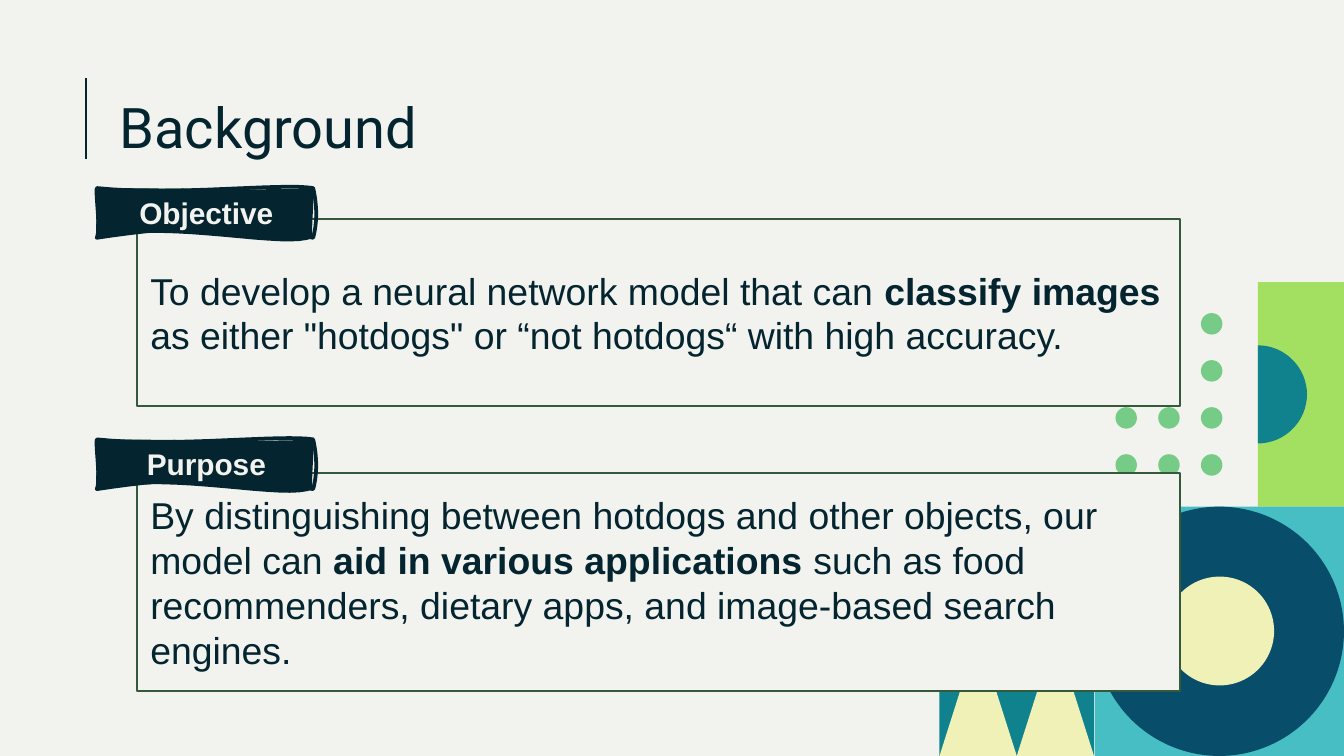
"""Build the Background slide with its two labelled statements and geometric corner art."""

from dataclasses import dataclass

from lxml.etree import SubElement
from pptx import Presentation
from pptx.dml.color import RGBColor
from pptx.enum.shapes import MSO_CONNECTOR, MSO_SHAPE
from pptx.enum.text import MSO_ANCHOR, MSO_AUTO_SIZE, PP_ALIGN
from pptx.oxml.ns import qn
from pptx.util import Inches, Pt

GRID = 0.1
CURVE_STEPS = 16
COLORS = {
    "paper": "F2F3EE", "ink": "042530", "border": "34593B", "lime": "A3DF61",
    "teal": "10828D", "cream": "F0F1B7", "aqua": "47BEC4", "navy": "084D6A",
    "mint": "76CC86",
}

Point = tuple[float, float]
Curve = tuple[Point, Point, Point]


@dataclass(frozen=True)
class Block:
    kind: MSO_SHAPE
    column: float
    row: float
    columns: float
    rows: float
    color: str


@dataclass(frozen=True)
class Statement:
    label: str
    label_row: float
    row: float
    rows: float
    pieces: tuple[tuple[str, bool], ...]


BLOCKS = [
    Block(MSO_SHAPE.RECTANGLE, 93.6, 21, 6.4, 16.7, "lime"),
    Block(MSO_SHAPE.RECTANGLE, 69.9, 47.2, 11.5, 9.05, "teal"),
    *(Block(MSO_SHAPE.ISOSCELES_TRIANGLE, 69.9 + 5.75 * i, 47.2, 5.75, 9.05, "cream")
      for i in range(2)),
    Block(MSO_SHAPE.RECTANGLE, 81.45, 37.7, 18.55, 18.55, "aqua"),
    Block(MSO_SHAPE.OVAL, 81.45, 37.7, 18.55, 18.55, "navy"),
    Block(MSO_SHAPE.OVAL, 86.7, 42.9, 8.1, 8.1, "cream"),
    *(Block(MSO_SHAPE.OVAL, 83 + 3.18 * i, 23.3 + 3.5 * j, 1.6, 1.6, "mint")
      for j in range(4) for i in range(3) if j > 1 or i == 2),
]

HALF_DISC: list[Curve] = [
    ((2, 0), (3.65, 1.65), (3.65, 3.65)),
    ((3.65, 5.65), (2, 7.3), (0, 7.3)),
]
BANNER_FILL: list[Curve] = [
    ((5.3, 0), (13.6, 0.2), (16.1, 0)),
    ((16.2, 1.3), (15.9, 3.2), (16.1, 3.7)),
    ((14.1, 4.7), (5.8, 2.5), (0, 3.7)),
    ((-0.2, 2.7), (0.3, 0.9), (0, 0)),
]
BANNER_EDGE: list[Curve] = [
    ((5.7, 0.6), (13.7, -0.4), (16.1, 0)),
    ((16.4, 1.3), (16.4, 2.6), (16.1, 3.7)),
    ((10.8, 2.7), (6.6, 2.7), (0, 3.7)),
    ((0.3, 3), (-0.1, 0.6), (0, 0)),
]

STATEMENTS = [
    Statement("Objective", 14, 16.3, 13.9, (
        ("To develop a neural network model that can ", False),
        ("classify images ", True),
        ("as either \"hotdogs\" or “not hotdogs“ with high accuracy.", False),
    )),
    Statement("Purpose", 32.7, 35.2, 16.2, (
        ("By distinguishing between hotdogs and other objects, our model can ", False),
        ("aid in various applications ", True),
        ("such as food recommenders, dietary apps, and image-based search engines.", False),
    )),
]


def cells(count: float) -> int:
    """Return the length of a number of grid cells."""
    return Inches(count * GRID)


def color(name: str) -> RGBColor:
    """Return a named colour."""
    return RGBColor.from_string(COLORS[name])


def paint(shape, fill: str | None = None, line: str | None = None, width: float = 1) -> None:
    """Set the fill and line of a shape and drop its shadow."""
    shape.shadow.inherit = False
    if fill:
        shape.fill.solid()
        shape.fill.fore_color.rgb = color(fill)
    else:
        shape.fill.background()
    if line:
        shape.line.color.rgb = color(line)
        shape.line.width = Pt(width)
    else:
        shape.line.fill.background()


def add_text(para, text: str, *, size: float, ink: str = "ink",
             font: str = "Arial", bold: bool = False) -> None:
    """Append formatted text to a paragraph."""
    span = para.add_run()
    span.text = text
    span.font.name = font
    span.font.size = Pt(size)
    span.font.bold = bold
    span.font.color.rgb = color(ink)


def draw_block(page, block: Block):
    """Draw a plain preset shape."""
    shape = page.shapes.add_shape(
        block.kind, cells(block.column), cells(block.row),
        cells(block.columns), cells(block.rows))
    paint(shape, block.color)
    return shape


def draw_curves(page, column: float, row: float, curves: list[Curve]):
    """Draw a closed outline of cubic curves starting at a grid position."""
    points: list[Point] = []
    start: Point = (0, 0)
    for first, second, end in curves:
        for step in range(1, CURVE_STEPS + 1):
            t = step / CURVE_STEPS
            weights = ((1 - t) ** 3, 3 * t * (1 - t) ** 2, 3 * t * t * (1 - t), t ** 3)
            corners = (start, first, second, end)
            x, y = (sum(w * c[axis] for w, c in zip(weights, corners)) for axis in (0, 1))
            points.append((cells(column + x), cells(row + y)))
        start = end
    builder = page.shapes.build_freeform(cells(column), cells(row))
    builder.add_line_segments(points, close=True)
    return builder.convert_to_shape()


def draw_title(page, text: str) -> None:
    """Place the title and the rule on its left."""
    title = page.shapes.title
    title.left, title.top, title.width, title.height = map(cells, (7.9, 5.9, 84.3, 6.3))
    frame = title.text_frame
    frame.auto_size = MSO_AUTO_SIZE.NONE
    frame.vertical_anchor = MSO_ANCHOR.TOP
    frame.margin_left = frame.margin_right = frame.margin_top = frame.margin_bottom = cells(1)
    frame.paragraphs[0].alignment = PP_ALIGN.LEFT
    add_text(frame.paragraphs[0], text, size=30, font="Roboto")
    rule = page.shapes.add_connector(
        MSO_CONNECTOR.STRAIGHT, cells(6.4), cells(5.8), cells(6.4), cells(11.8))
    rule.line.color.rgb = color("ink")
    rule.line.width = Pt(0.75)
    SubElement(rule._element.spPr, qn("a:effectLst"))


def draw_statement(page, statement: Statement) -> None:
    """Draw a bordered text box with a wavy banner on its corner."""
    box = draw_block(page, Block(
        MSO_SHAPE.RECTANGLE, 10.2, statement.row, 77.6, statement.rows, "paper"))
    paint(box, "paper", "border")
    box.text_frame.vertical_anchor = MSO_ANCHOR.MIDDLE
    para = box.text_frame.paragraphs[0]
    para.alignment = PP_ALIGN.LEFT
    for text, bold in statement.pieces:
        add_text(para, text, size=20, bold=bold)


def draw_banner(page, statement: Statement) -> None:
    """Draw the wavy label of a statement."""
    paint(draw_curves(page, 7.2, statement.label_row, BANNER_FILL), "ink")
    edge = draw_curves(page, 7.2, statement.label_row, BANNER_EDGE)
    paint(edge, None, "ink", 2)
    edge.text_frame.vertical_anchor = MSO_ANCHOR.MIDDLE
    para = edge.text_frame.paragraphs[0]
    para.alignment = PP_ALIGN.CENTER
    add_text(para, statement.label, size=16, ink="paper", bold=True)


def main() -> None:
    """Build and save the deck."""
    deck = Presentation()
    deck.slide_width, deck.slide_height = cells(100), cells(56.25)
    page = deck.slides.add_slide(deck.slide_layouts[5])
    page.background.fill.solid()
    page.background.fill.fore_color.rgb = color("paper")
    draw_title(page, "Background")
    for block in BLOCKS:
        draw_block(page, block)
    paint(draw_curves(page, 93.6, 25.7, HALF_DISC), "teal")
    for draw in (draw_statement, draw_banner):
        for statement in STATEMENTS:
            draw(page, statement)
    deck.save("out.pptx")


if __name__ == "__main__":
    main()
